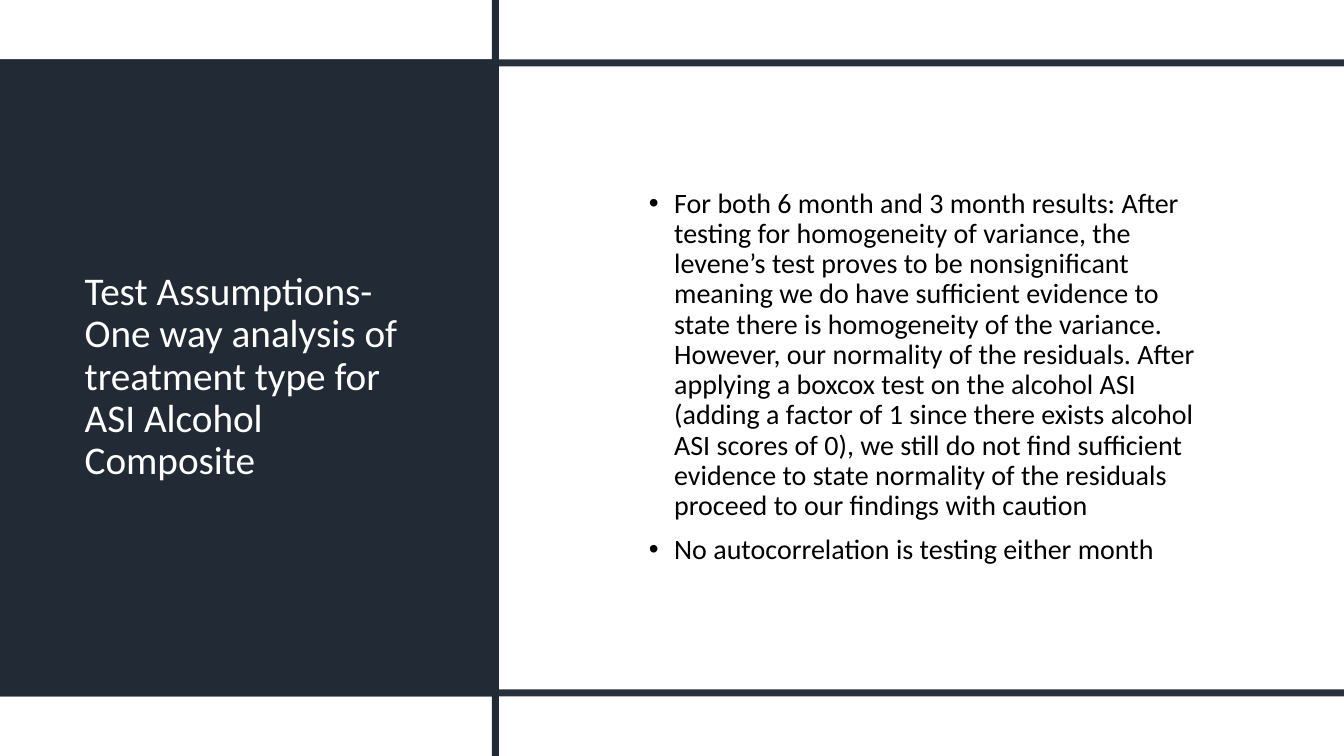
from pptx import Presentation
from pptx.dml.color import RGBColor
from pptx.enum.shapes import MSO_SHAPE as Shape
from pptx.enum.text import MSO_ANCHOR as Anchor, MSO_AUTO_SIZE as Fit, PP_ALIGN as Align
from pptx.oxml.ns import qn
from pptx.util import Pt
from lxml.etree import SubElement

WIDE, HIGH = 960, 540
NAVY, WHITE, BLACK = "222A35", "FFFFFF", "000000"
EDGE = 356.4  # right side of the dark panel
TOP, BASE, BAR = 42.5, 497.5, 5
HEAD = "Test Assumptions- One way analysis of treatment type for ASI Alcohol Composite"
NOTES = [
    "For both 6 month and 3 month results: After testing for homogeneity of variance, "
    "the levene’s test proves to be nonsignificant meaning we do have sufficient evidence "
    "to state there is homogeneity of the variance. However, our normality of the residuals. "
    "After applying a boxcox test on the alcohol ASI (adding a factor of 1 since there exists "
    "alcohol ASI scores of 0), we still do not find sufficient evidence to state normality "
    "of the residuals proceed to our findings with caution",
    "No autocorrelation is testing either month",
]


def color(code):
    return RGBColor.from_string(code)


def block(slide, x, y, w, h, alpha=100):
    """Draw a plain navy rectangle, alpha being its opacity in percent."""
    rect = slide.shapes.add_shape(Shape.RECTANGLE, Pt(x), Pt(y), Pt(w), Pt(h))
    rect.shadow.inherit = False
    rect.fill.solid()
    rect.fill.fore_color.rgb = color(NAVY)
    rect.line.fill.background()
    if alpha < 100:
        tint = rect.element.spPr.find(qn("a:solidFill"))[0]
        SubElement(tint, qn("a:alpha"), val=str(alpha * 1000))
    return rect


def setup(frame):
    frame.word_wrap = True
    frame.auto_size = Fit.NONE
    frame.vertical_anchor = Anchor.MIDDLE


def write(para, text, size, code):
    para.alignment = Align.LEFT
    para.line_spacing = 0.9
    run = para.add_run()
    run.text = text
    run.font.name = "Calibri"
    run.font.size = Pt(size)
    run.font.color.rgb = color(code)


def bullet(para):
    props = para._p.get_or_add_pPr()
    props.set("marL", str(Pt(18)))
    props.set("indent", str(Pt(-18)))
    SubElement(props, qn("a:buFont"), typeface="Arial")
    SubElement(props, qn("a:buChar"), char="•")


def panel(slide, x, y, w, h):
    """Place the dark panel with the slide title on it."""
    back = block(slide, x, y, w, h)
    title = slide.shapes.title
    title.element.addprevious(back.element)
    title.left, title.top = Pt(x + 53.3), Pt(y + 72)
    title.width, title.height = Pt(w - 112.3), Pt(h - 144.7)
    setup(title.text_frame)
    write(title.text_frame.paragraphs[0], HEAD, 28, WHITE)


def body(slide, x, y, w, h):
    """Place the bulleted findings."""
    frame = slide.shapes.add_textbox(Pt(x), Pt(y), Pt(w), Pt(h)).text_frame
    setup(frame)
    for i, note in enumerate(NOTES):
        para = frame.add_paragraph() if i else frame.paragraphs[0]
        write(para, note, 20, BLACK)
        para.space_before = Pt(10)
        bullet(para)


def rules(slide, x, y, w, h):
    """Cross the box with two level bars and one upright bar."""
    for top in (TOP, BASE - BAR):
        block(slide, x, y + top, w, BAR, 97)
    block(slide, x + EDGE - BAR, y, BAR, h)


def main():
    deck = Presentation()
    deck.slide_width, deck.slide_height = Pt(WIDE), Pt(HIGH)
    slide = deck.slides.add_slide(deck.slide_layouts[5])
    panel(slide, 0, TOP, EDGE, BASE - TOP)
    body(slide, 456.5, TOP + 72, 420.5, 310.3)
    rules(slide, 0, 0, WIDE, HIGH)
    deck.save("out.pptx")


if __name__ == "__main__":
    main()
